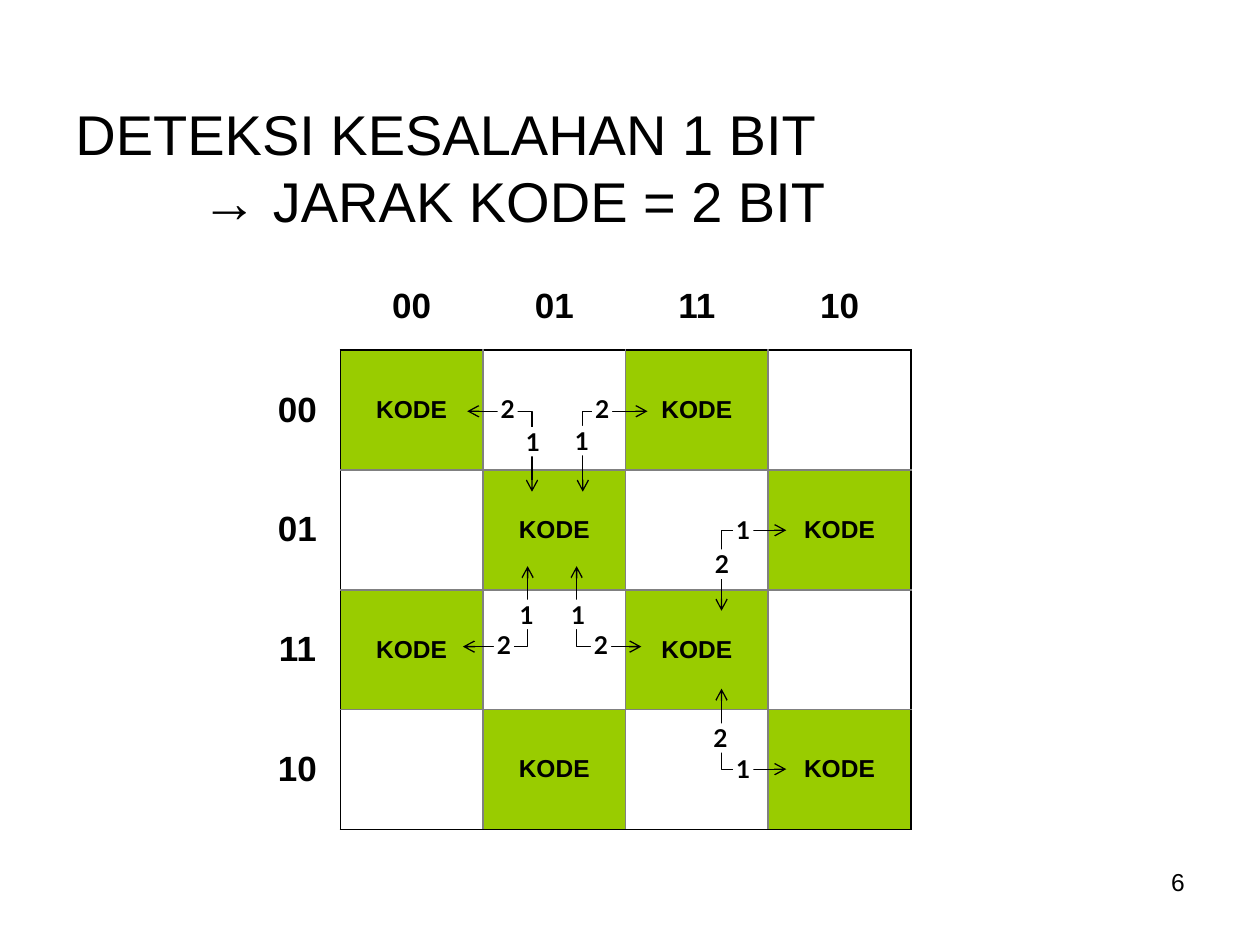
from lxml.etree import SubElement
from pptx import Presentation
from pptx.dml.color import RGBColor
from pptx.enum.shapes import MSO_SHAPE as Preset
from pptx.enum.text import MSO_ANCHOR as Anchor, PP_ALIGN as Align
from pptx.oxml import parse_xml
from pptx.oxml.ns import nsdecls, qn
from pptx.util import Pt

BLACK = RGBColor(0x00, 0x00, 0x00)
GREY = RGBColor(0x80, 0x80, 0x80)
WHITE = RGBColor(0xFF, 0xFF, 0xFF)
GREEN = RGBColor(0x99, 0xCC, 0x00)

NO_STYLE = "{2D5ABB26-0587-4C30-8999-92F81FD0307C}"
CODES = ["00", "01", "11", "10"]
SIZE = len(CODES)

# Elbow arrows: corner, run along x, run along y, labels as (text, left, top)
LINKS = [
    ((304, 235), -37, 46, [("1", 298.8, 244), ("2", 284.4, 225.4)]),
    ((333, 235), 37, 46, [("1", 326.9, 243.4), ("2", 338.4, 225.4)]),
    ((412.3, 303), 37, 46, [("1", 419, 294.5), ("2", 406.8, 314)]),
    ((412.3, 439.5), 37, -46, [("1", 419, 430.6), ("2", 406, 413.3)]),
    ((329.5, 369.5), 37, -46, [("1", 324.7, 342.7), ("2", 337.7, 360)]),
    ((301.5, 369.5), -37, -46, [("1", 295.2, 342.7), ("2", 282.2, 360)]),
]


def format_text(text_frame, size, font="Arial", bold=False, align=Align.LEFT):
    for paragraph in text_frame.paragraphs:
        paragraph.alignment = align
        for run in paragraph.runs:
            run.font.size = Pt(size)
            run.font.name = font
            run.font.bold = bold
            run.font.color.rgb = BLACK


def add_text(slide, text, left, top, width, height, size,
             align=Align.LEFT, anchor=Anchor.TOP):
    box = slide.shapes.add_textbox(Pt(left), Pt(top), Pt(width), Pt(height))
    box.text_frame.word_wrap = True
    box.text_frame.vertical_anchor = anchor
    box.text_frame.text = text
    format_text(box.text_frame, size, align=align)


def set_borders(cell, colors):
    """Draw the left, right, top and bottom borders, in that order."""
    properties = cell._tc.get_or_add_tcPr()
    for index, (side, color) in enumerate(zip("LRTB", colors)):
        properties.insert(index, parse_xml(
            f'<a:ln{side} {nsdecls("a")} w="{Pt(1.08)}"><a:solidFill>'
            f'<a:srgbClr val="{color}"/></a:solidFill></a:ln{side}>'))


def fill_cell(cell, row, column):
    in_map = row > 0 and column > 0
    is_code = in_map and (row + column) % 2 == 0
    if is_code:
        cell.text = "KODE"
    elif row > 0 and column == 0:
        cell.text = CODES[row - 1]
    elif column > 0 and row == 0:
        cell.text = CODES[column - 1]
    cell.vertical_anchor = Anchor.MIDDLE
    format_text(cell.text_frame, 14 if is_code else 20, bold=True,
                align=Align.CENTER)

    if not in_map:
        cell.fill.background()
        return
    cell.fill.solid()
    cell.fill.fore_color.rgb = GREEN if is_code else WHITE
    outer_sides = (column == 1, column == SIZE, row == 1, row == SIZE)
    set_borders(cell, [BLACK if outer else GREY for outer in outer_sides])


def add_code_map(slide):
    frame = slide.shapes.add_table(SIZE + 1, SIZE + 1, Pt(145.5), Pt(150),
                                   Pt(375), Pt(324))
    table = frame.table
    table.first_row = table.horz_banding = False
    table._tbl.tblPr.find(qn("a:tableStyleId")).text = NO_STYLE
    for index in range(SIZE + 1):
        table.columns[index].width = Pt(81.5 if index else 49)
        table.rows[index].height = Pt(68.5 if index else 50)
    for row in range(SIZE + 1):
        for column in range(SIZE + 1):
            fill_cell(table.cell(row, column), row, column)


def add_elbow_arrow(shapes, corner, run_x, run_y):
    x, y = corner
    builder = shapes.build_freeform(Pt(x + run_x), Pt(y))
    builder.add_line_segments([(Pt(x), Pt(y)), (Pt(x), Pt(y + run_y))],
                              close=False)
    shape = builder.convert_to_shape()
    shape.shadow.inherit = False
    shape.fill.background()
    shape.line.color.rgb = BLACK
    shape.line.width = Pt(0.75)
    line = shape.line._get_or_add_ln()
    for end in ("a:headEnd", "a:tailEnd"):
        SubElement(line, qn(end), type="arrow")


def add_bit_label(shapes, text, left, top):
    shape = shapes.add_shape(Preset.RECTANGLE, Pt(left), Pt(top),
                             Pt(11.5), Pt(16.8))
    shape.shadow.inherit = False
    shape.fill.solid()
    shape.fill.fore_color.rgb = WHITE
    shape.line.fill.background()
    text_frame = shape.text_frame
    text_frame.margin_left = text_frame.margin_right = 0
    text_frame.margin_top = text_frame.margin_bottom = 0
    text_frame.vertical_anchor = Anchor.TOP
    text_frame.text = text
    format_text(text_frame, 14, font="Lato", bold=True, align=Align.CENTER)


def main():
    presentation = Presentation()
    presentation.slide_width, presentation.slide_height = Pt(720), Pt(540)
    slide = presentation.slides.add_slide(presentation.slide_layouts[6])

    # Title, with the second line indented by tabs
    add_text(slide, "DETEKSI KESALAHAN 1 BIT\v\t\t→ JARAK KODE = 2 BIT",
             36, 50.4, 648, 90, 32, anchor=Anchor.MIDDLE)

    # Map of code words
    add_code_map(slide)

    # Distances between code words: arrows first, labels over them
    group = slide.shapes.add_group_shape()
    for corner, run_x, run_y, _ in LINKS:
        add_elbow_arrow(group.shapes, corner, run_x, run_y)
    for *_, labels in LINKS:
        for text, left, top in labels:
            add_bit_label(group.shapes, text, left, top)

    # Slide number
    add_text(slide, "6", 516, 492, 168, 37.5, 14, align=Align.RIGHT)

    presentation.save("out.pptx")


if __name__ == "__main__":
    main()
